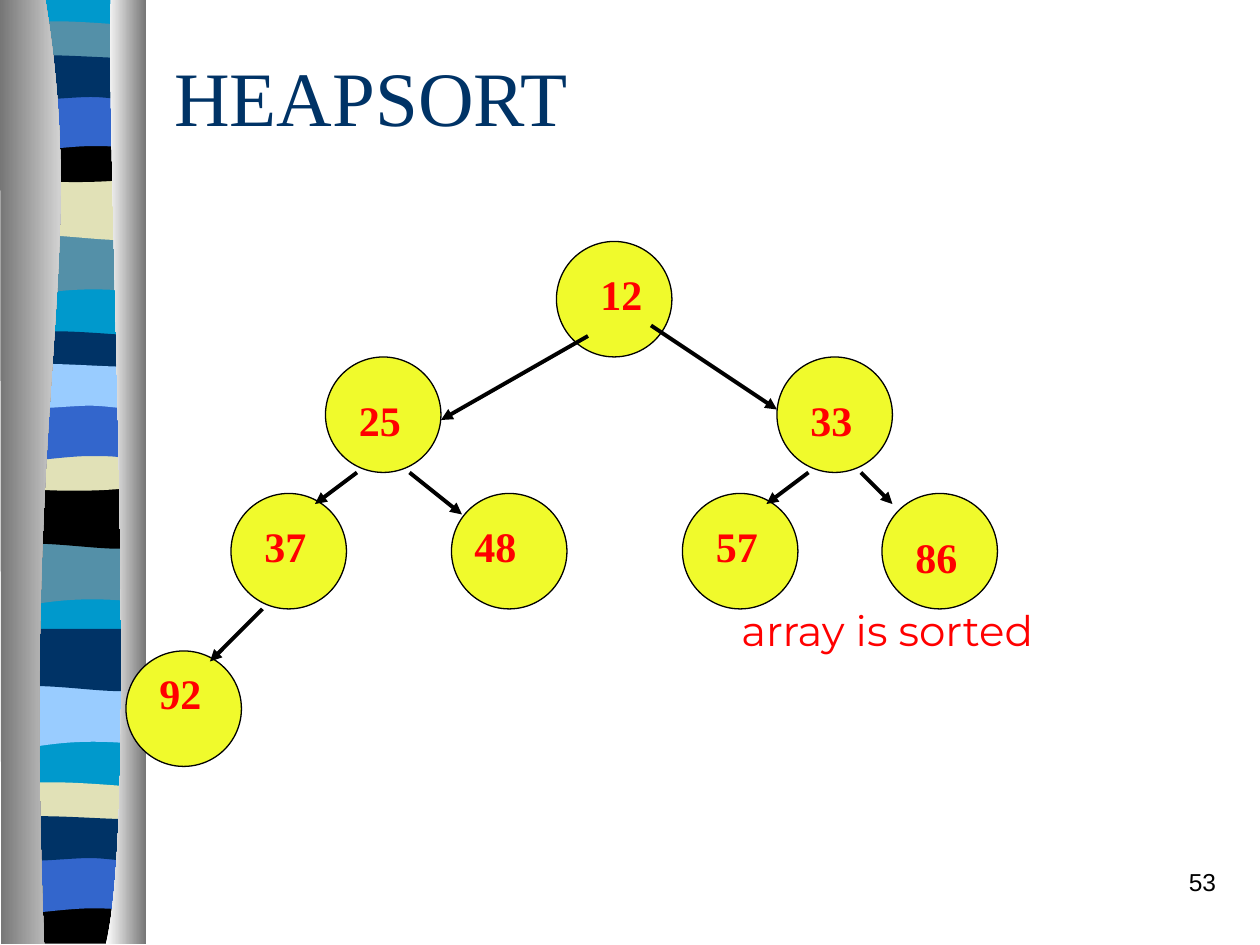
from dataclasses import dataclass
from typing import NamedTuple

from lxml import etree
from pptx import Presentation
from pptx.dml.color import RGBColor
from pptx.enum.shapes import MSO_CONNECTOR, MSO_SHAPE
from pptx.enum.text import PP_ALIGN
from pptx.oxml.ns import qn
from pptx.util import Inches, Pt

OVAL, RECTANGLE = MSO_SHAPE.OVAL, MSO_SHAPE.RECTANGLE
STRAIGHT = MSO_CONNECTOR.STRAIGHT
LEFT, CENTER, RIGHT = PP_ALIGN.LEFT, PP_ALIGN.CENTER, PP_ALIGN.RIGHT

CELLS_PER_INCH = 12
NODE_SIZE = 11  # grid cells
LABEL_HEIGHT = 6  # grid cells


@dataclass(frozen=True)
class Theme:
    navy: str = "003366"
    blue: str = "3366CC"
    sky: str = "99CCFF"
    cyan: str = "0099CC"
    teal: str = "5490A8"
    sand: str = "E1E1B7"
    black: str = "000000"
    white: str = "FFFFFF"
    gray: str = "767676"
    yellow: str = "F0FA2C"
    red: str = "FF0000"
    serif: str = "Times New Roman"
    sans: str = "Arial"
    display: str = "Montserrat"
    title_size: float = 44
    body_size: float = 24
    number_size: float = 14
    node_line: float = 0.75
    edge_line: float = 2.25


class Node(NamedTuple):
    """A heap entry: circle corner, then label corner and width, in cells."""
    value: int
    col: float
    row: float
    label_col: float
    label_row: float
    label_width: float


class Edge(NamedTuple):
    col: float
    row: float
    end_col: float
    end_row: float


class Band(NamedTuple):
    """A stripe of the ribbon: outline and corner in inches."""
    outline: list
    left: float
    top: float
    color: str


THEME = Theme()

# Outlines: pairs are straight segments, sextuples are Bezier segments.
DIP = [(1.08, 0), (1.08, 0.47), (0.33, 0.39, 0.18, 0.55, 0, 0.47), (0, 0)]
SWELL = [(1.08, 0), (1.08, 0.47), (0.9, 0.55, 0.33, 0.41, 0, 0.47), (0, 0)]
CREST = [(1.08, 0.05), (1.08, 0.29), (0.9, 0.33, 0.18, 0.33, 0, 0.29), (0, 0.05),
         (0.06, 0, 0.23, 0.01, 0.41, 0.01), (0.59, 0.01, 0.94, 0.04, 1.08, 0.05)]
BOWL = [(1.08, 0), (1.08, 0.32), (0.9, 0.38, 0.18, 0.38, 0, 0.32), (0, 0),
        (0.66, 0.05, 0.85, 0, 1.08, 0)]
FLOOR = [(1.08, 0), (1.08, 0.37), (0, 0.37), (0, 0), (0.66, 0.05, 0.85, 0, 1.08, 0)]
ARCH = [(1.08, 0), (1.08, 0.47), (0.91, 0.42, 0.84, 0.42, 0.66, 0.42),
        (0.48, 0.42, 0.16, 0.47, 0, 0.47), (0, 0)]
WAVE = [(1.08, 0.05), (1.08, 0.36), (1.01, 0.41, 0.84, 0.36, 0.66, 0.36),
        (0.48, 0.36, 0.11, 0.41, 0, 0.36), (0, 0.05),
        (0.15, 0, 0.73, 0.05, 0.91, 0.05), (1.09, 0.05, 1.04, 0.05, 1.08, 0.05)]
LEFT_EDGE = [(0.36, 0), (0.71, 2.16, 0.17, 2.96, 0.35, 7.49), (0.01, 7.49), (0, 0)]
RIGHT_EDGE = [(0.88, 0), (0.84, 1.25, 1.11, 6.46, 0.84, 7.49), (1.16, 7.49), (1.16, 0)]

BANDS = [
    Band(DIP, 0.06, 1.85, THEME.teal),
    Band(SWELL, 0.06, 1.41, THEME.sand),
    Band(CREST, 0.06, 0.16, THEME.teal),
    Band(BOWL, 0.06, 1.08, THEME.black),
    Band(ARCH, 0.06, 0.74, THEME.blue),
    Band(WAVE, 0.06, 0.41, THEME.navy),
    Band(DIP, 0.05, 4.31, THEME.teal),
    Band(SWELL, 0.05, 3.86, THEME.black),
    Band(CREST, 0.05, 2.62, THEME.navy),
    Band(BOWL, 0.05, 3.53, THEME.sand),
    Band(ARCH, 0.05, 3.2, THEME.blue),
    Band(WAVE, 0.05, 2.86, THEME.sky),
    Band(DIP, 0.06, 5.44, THEME.sky),
    Band(SWELL, 0.06, 4.99, THEME.navy),
    Band(CREST, 0.05, 6.2, THEME.sand),
    Band(FLOOR, 0.05, 7.12, THEME.black),
    Band(ARCH, 0.05, 6.79, THEME.blue),
    Band(WAVE, 0.05, 6.45, THEME.navy),
]

HEAP = [
    Node(12, 53, 23, 56, 25, 10),
    Node(25, 31, 34, 33, 37, 7),
    Node(33, 74, 34, 76, 37, 8),
    Node(37, 22, 47, 24, 49, 7),
    Node(48, 43, 47, 44, 49, 8),
    Node(57, 65, 47, 67, 49, 8),
    Node(86, 84, 47, 86, 50, 9),
    Node(92, 12, 62, 14, 63, 8),
]

EDGES = [
    Edge(56, 32, 42, 40), Edge(62, 31, 74, 39),
    Edge(34, 45, 30, 48), Edge(39, 45, 44, 49), Edge(25, 58, 20, 63),
    Edge(77, 45, 73, 48), Edge(82, 45, 85, 48),
]


def rgb(color: str) -> RGBColor:
    return RGBColor.from_string(color)


def cells(*counts: float) -> list:
    return [Inches(count / CELLS_PER_INCH) for count in counts]


def bend(shape, outline: list) -> None:
    """Merge the three straight steps of each Bezier segment into one curve."""
    steps = iter(shape._element.findall(".//" + qn("a:lnTo")))
    for segment in outline[1:]:
        first = next(steps)
        if len(segment) == 2:
            continue
        curve = etree.Element(qn("a:cubicBezTo"))
        first.addprevious(curve)
        for step in (first, next(steps), next(steps)):
            curve.append(step[0])
            step.getparent().remove(step)


def draw_outline(slide, outline: list, left: float, top: float, *colors: str) -> None:
    """Draw a closed outline, solid for one colour, left to right gradient for two."""
    points = [(Inches(left + segment[i]), Inches(top + segment[i + 1]))
              for segment in outline for i in range(0, len(segment), 2)]
    builder = slide.shapes.build_freeform(*points[0])
    builder.add_line_segments(points[1:], close=True)
    shape = builder.convert_to_shape()
    bend(shape, outline)
    shape.shadow.inherit = False
    shape.line.fill.background()
    if len(colors) == 1:
        shape.fill.solid()
        shape.fill.fore_color.rgb = rgb(colors[0])
        return
    shape.fill.gradient()
    shape.fill.gradient_angle = 0
    for stop, color in zip(shape.fill.gradient_stops, colors):
        stop.color.rgb = rgb(color)


def fill_preset(slide, kind, bounds: list, color: str):
    shape = slide.shapes.add_shape(kind, *bounds)
    shape.shadow.inherit = False
    shape.fill.solid()
    shape.fill.fore_color.rgb = rgb(color)
    return shape


def draw_ribbon(slide) -> None:
    bounds = [Inches(length) for length in (0.06, 0, 1.08, 7.47)]
    fill_preset(slide, RECTANGLE, bounds, THEME.cyan).line.fill.background()
    for band in BANDS:
        draw_outline(slide, band.outline, band.left, band.top, band.color)
    draw_outline(slide, LEFT_EDGE, 0, 0, THEME.gray, THEME.white)
    draw_outline(slide, RIGHT_EDGE, 0, 0, THEME.white, THEME.gray)


def draw_circle(slide, node: Node) -> None:
    bounds = cells(node.col, node.row, NODE_SIZE, NODE_SIZE)
    circle = fill_preset(slide, OVAL, bounds, THEME.yellow)
    circle.line.color.rgb = rgb(THEME.black)
    circle.line.width = Pt(THEME.node_line)


def draw_arrow(slide, edge: Edge) -> None:
    arrow = slide.shapes.add_connector(STRAIGHT, *cells(*edge))
    arrow.line.color.rgb = rgb(THEME.black)
    arrow.line.width = Pt(THEME.edge_line)
    properties = arrow._element.spPr
    etree.SubElement(properties.find(qn("a:ln")), qn("a:tailEnd"), type="triangle")
    etree.SubElement(properties, qn("a:effectLst"))


def write(slide, text: str, col: float, row: float, width: float, height: float, *,
          size: float = THEME.body_size, font: str = THEME.serif, color: str = THEME.red,
          bold: bool = False, align=LEFT) -> None:
    frame = slide.shapes.add_textbox(*cells(col, row, width, height)).text_frame
    frame.word_wrap = True
    paragraph = frame.paragraphs[0]
    paragraph.alignment = align
    run = paragraph.add_run()
    run.text = text
    run.font.size, run.font.name, run.font.bold = Pt(size), font, bold
    run.font.color.rgb = rgb(color)


def main() -> None:
    deck = Presentation()
    deck.slide_width, deck.slide_height = Inches(10), Inches(7.5)
    slide = deck.slides.add_slide(deck.slide_layouts[6])
    draw_ribbon(slide)
    write(slide, "HEAPSORT", 15.42, 4.1, 102, 15, size=THEME.title_size, color=THEME.navy)
    for node in HEAP:
        draw_circle(slide, node)
    for edge in EDGES:
        draw_arrow(slide, edge)
    for node in HEAP:
        write(slide, str(node.value), node.label_col, node.label_row, node.label_width,
              LABEL_HEIGHT, bold=True)
    write(slide, "array is sorted", 56, 57, 57, 22, font=THEME.display, align=CENTER)
    write(slide, "53", 92, 82, 25, LABEL_HEIGHT, size=THEME.number_size, font=THEME.sans,
          color=THEME.black, align=RIGHT)
    deck.save("out.pptx")


if __name__ == "__main__":
    main()
